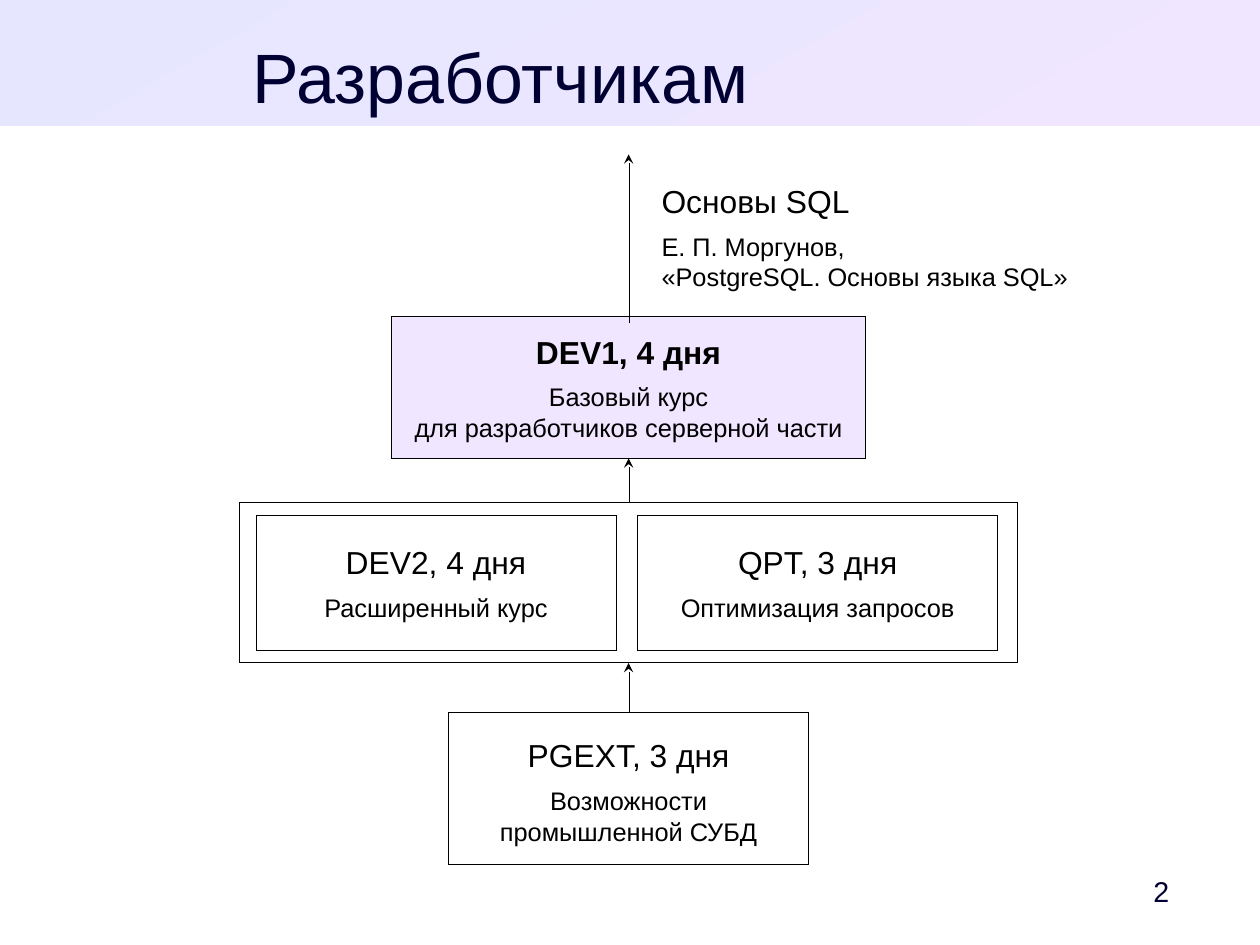
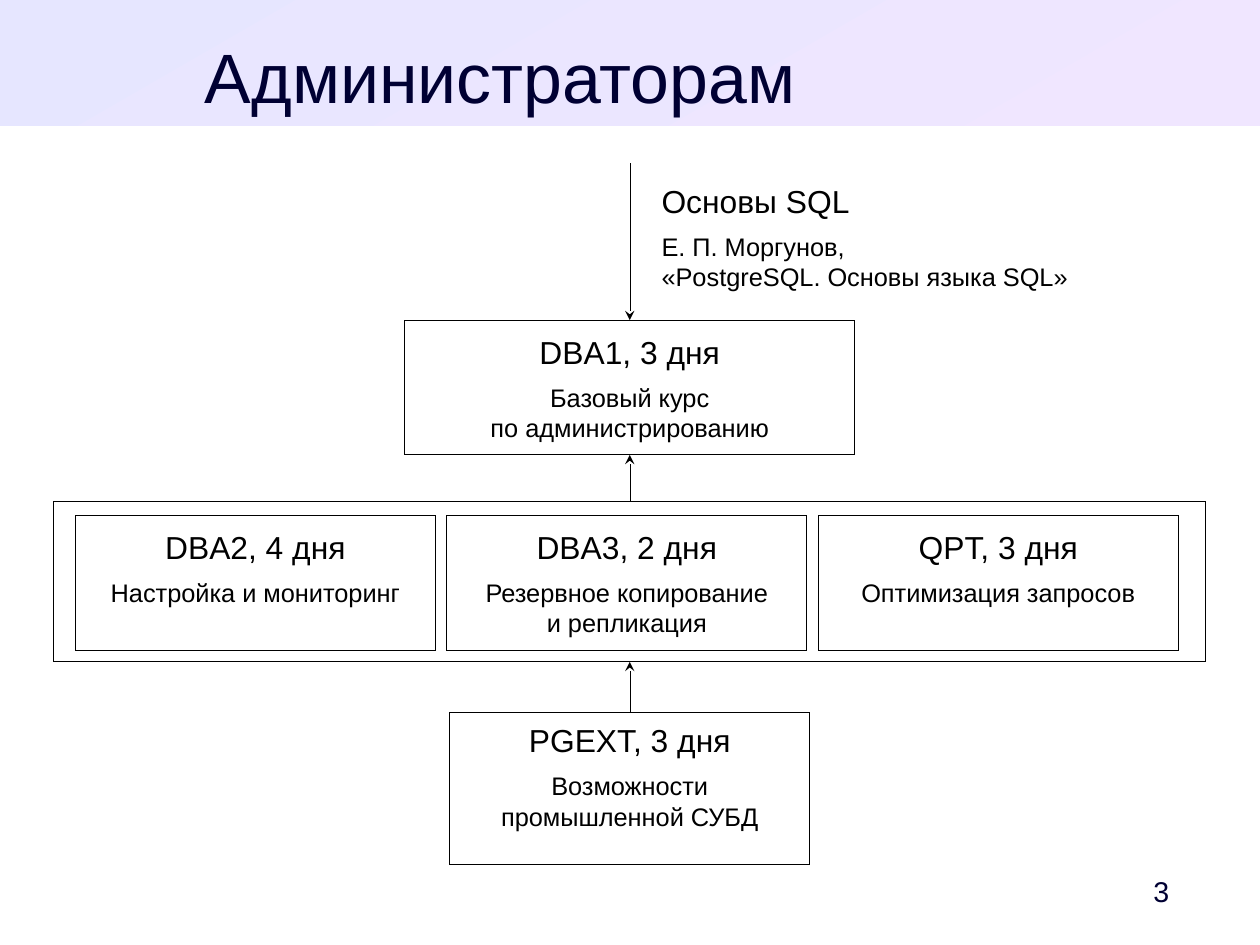
from pptx import Presentation
from pptx.dml.color import RGBColor
from pptx.enum.shapes import MSO_CONNECTOR, MSO_SHAPE
from pptx.enum.text import MSO_ANCHOR, PP_ALIGN
from pptx.oxml.ns import qn
from pptx.util import Inches, Pt
from lxml import etree

RECT = MSO_SHAPE.RECTANGLE
STRAIGHT = MSO_CONNECTOR.STRAIGHT
LEFT, CENTER, RIGHT = PP_ALIGN.LEFT, PP_ALIGN.CENTER, PP_ALIGN.RIGHT
TOP, MIDDLE = MSO_ANCHOR.TOP, MSO_ANCHOR.MIDDLE

FONT = "Arial"
NAVY, BLACK, WHITE = "000033", "000000", "FFFFFF"
BLUE, LILAC = "E6E6FF", "F0E6FF"
HAIR = Pt(0.01)
CARD_W, CARD_H = 3.15, 1.18
CARD_TOP = 4.51
FRAME_H = 1.4
LAST_TOP, LAST_H = 6.23, 1.33
PLAIN = (0.1, 0.05, 0.1, 0.05)
RAISED = (0.1, 0.05, 0.1, 0.31)
LAST = (0.1, 0.1, 0.1, 0.05)
LAST_RAISED = (0.1, 0.1, 0.1, 0.31)

BOOK = ["Основы SQL", "Е. П. Моргунов,", "«PostgreSQL. Основы языка SQL»"]
FINAL = ["PGEXT, 3 дня", "Возможности", "промышленной СУБД"]
QUERY = ["QPT, 3 дня", "Оптимизация запросов"]


def color(code):
    return RGBColor.from_string(code)


def inches(box):
    return [Inches(v) for v in box]


def set_frame(shape, pads, anchor, wrap=False):
    frame = shape.text_frame
    frame.word_wrap = wrap
    frame.vertical_anchor = anchor
    (frame.margin_left, frame.margin_top,
     frame.margin_right, frame.margin_bottom) = inches(pads)
    return frame


def add_line(frame, first, text, size, align, tint=BLACK, bold=False):
    para = frame.paragraphs[0] if first else frame.add_paragraph()
    para.alignment = align
    run = para.add_run()
    run.text = text
    run.font.name = FONT
    run.font.size = Pt(size)
    run.font.bold = bold
    run.font.color.rgb = color(tint)
    return para


def add_course(frame, lines, align, bold=False):
    head, *rest = lines
    add_line(frame, True, head, 20, align, bold=bold).space_after = Pt(7)
    for text in rest:
        add_line(frame, False, text, 16, align)


def add_rect(slide, box, fill=WHITE):
    shape = slide.shapes.add_shape(RECT, *inches(box))
    shape.shadow.inherit = False
    shape.fill.solid()
    shape.fill.fore_color.rgb = color(fill)
    shape.line.color.rgb = color(BLACK)
    shape.line.width = HAIR
    return shape


def add_card(slide, box, lines, pads=PLAIN, fill=WHITE, bold=False):
    shape = add_rect(slide, box, fill)
    add_course(set_frame(shape, pads, MIDDLE), lines, CENTER, bold)


def add_arrow(slide, x, start, end):
    arrow = slide.shapes.add_connector(STRAIGHT, *inches((x, start, x, end)))
    arrow.line.color.rgb = color(BLACK)
    arrow.line.width = HAIR
    tail = etree.SubElement(arrow.line._get_or_add_ln(), qn("a:tailEnd"))
    tail.set("type", "stealth")
    etree.SubElement(arrow._element.spPr, qn("a:effectLst"))


def add_base(deck, title, number):
    slide = deck.slides.add_slide(deck.slide_layouts[6])
    band = slide.shapes.add_shape(RECT, 0, 0, deck.slide_width, Inches(1.1))
    band.shadow.inherit = False
    band.line.fill.background()
    band.fill.gradient()
    band.fill.gradient_angle = 300
    for stop, tint, place in zip(band.fill.gradient_stops, (BLUE, LILAC), (0, 1)):
        stop.color.rgb = color(tint)
        stop.position = place
    head = slide.shapes.add_textbox(*inches((0.47, 0.29, 7.82, 0.79)))
    add_line(set_frame(head, (0, 0, 0, 0), TOP, True), True, title, 44, CENTER, NAVY)
    foot = slide.shapes.add_textbox(*inches((9.36, 7.56, 0.87, 0.47)))
    add_line(set_frame(foot, (0.1, 0.05, 0, 0.05), MIDDLE, True), True,
             str(number), 18, RIGHT, NAVY)
    return slide


def add_row(slide, frame, left, gap, cards):
    add_rect(slide, frame)
    for i, (lines, pads) in enumerate(cards):
        x = left + i * (CARD_W + gap)
        add_card(slide, (x, CARD_TOP, CARD_W, CARD_H), lines, pads)


def add_track(deck, title, number, mid, first, row, last_pads, entry):
    slide = add_base(deck, title, number)
    add_card(slide, **first)
    add_row(slide, **row)
    add_card(slide, (mid - CARD_W / 2, LAST_TOP, CARD_W, LAST_H), FINAL, last_pads)
    book = slide.shapes.add_textbox(*inches((5.69, 1.54, 3.76, 1.14)))
    add_course(set_frame(book, PLAIN, TOP), BOOK, LEFT)
    top, high = first["box"][1], first["box"][3]
    row_top = row["frame"][1]
    add_arrow(slide, mid, row_top, top + high)
    add_arrow(slide, mid, LAST_TOP, row_top + FRAME_H)
    add_arrow(slide, mid, *entry)


def main():
    deck = Presentation()
    deck.slide_width = Pt(793.75)
    deck.slide_height = Pt(595.25)
    add_track(
        deck, "Разработчикам", 2, 5.5,
        first=dict(box=(3.43, 2.77, 4.14, 1.24), fill=LILAC, bold=True,
                   lines=["DEV1, 4 дня", "Базовый курс",
                          "для разработчиков серверной части"]),
        row=dict(frame=(2.1, 4.4, 6.8, FRAME_H), left=2.24, gap=0.19,
                 cards=[(["DEV2, 4 дня", "Расширенный курс"], PLAIN),
                        (QUERY, PLAIN)]),
        last_pads=LAST, entry=(2.83, 1.35))
    add_track(
        deck, "Администраторам", 3, 5.51,
        first=dict(box=(3.54, 2.8, 3.94, 1.18),
                   lines=["DBA1, 3 дня", "Базовый курс",
                          "по администрированию"]),
        row=dict(frame=(0.47, 4.39, 10.08, FRAME_H), left=0.66, gap=0.1,
                 cards=[(["DBA2, 4 дня", "Настройка и мониторинг"], RAISED),
                        (["DBA3, 2 дня", "Резервное копирование",
                          "и репликация"], PLAIN),
                        (QUERY, RAISED)]),
        last_pads=LAST_RAISED, entry=(1.43, 2.8))
    deck.save("out.pptx")


if __name__ == "__main__":
    main()
